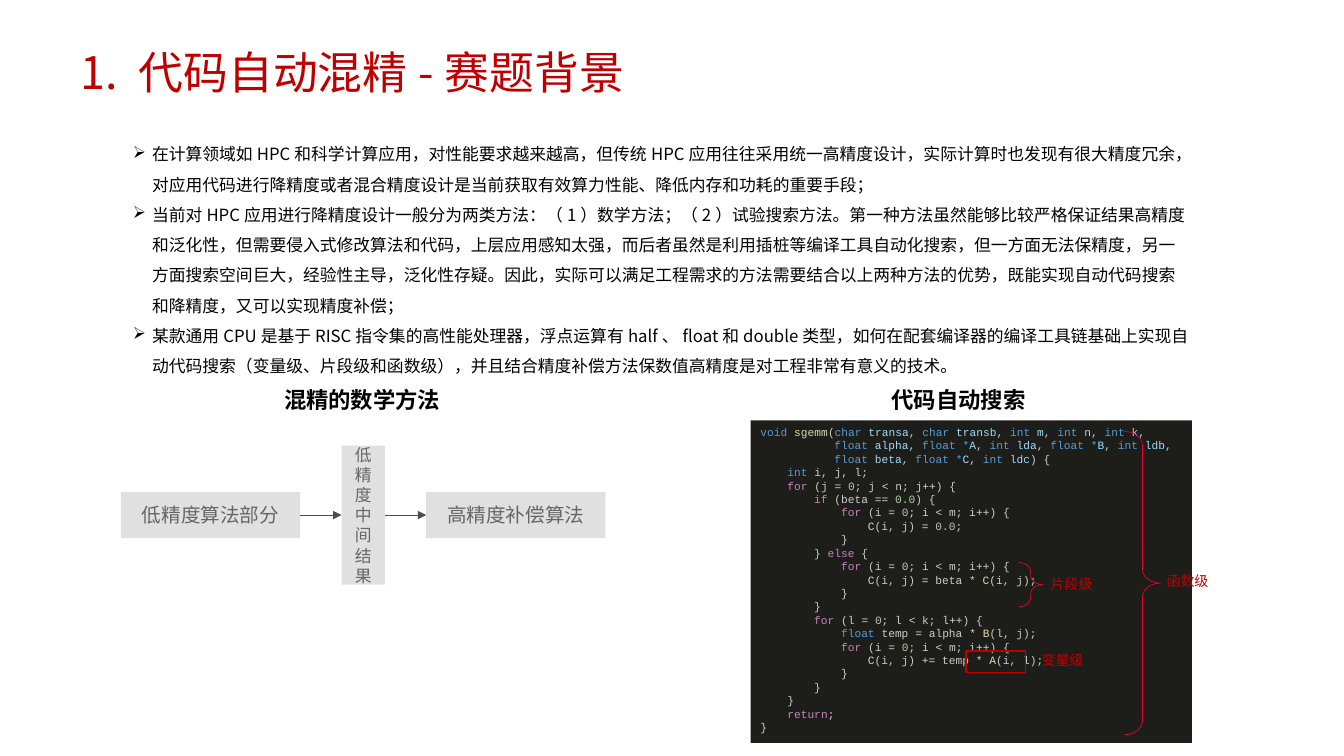
import itertools

import pptx
import pptx.dml.color
import pptx.enum.shapes
import pptx.enum.text
import pptx.oxml.ns
import pptx.util
from lxml import etree

Inches, Pt = pptx.util.Inches, pptx.util.Pt
RGBColor = pptx.dml.color.RGBColor
SHAPE = pptx.enum.shapes.MSO_SHAPE
ANCHOR = pptx.enum.text.MSO_ANCHOR
ALIGN = pptx.enum.text.PP_ALIGN
qn = pptx.oxml.ns.qn

RED = RGBColor(0xC0, 0x00, 0x00)
BRACE_RED = RGBColor(0xE9, 0x00, 0x2F)
BLACK = RGBColor(0x00, 0x00, 0x00)
BOX_GREY = RGBColor(0xE0, 0xE0, 0xE0)
TEXT_GREY = RGBColor(0x66, 0x66, 0x66)
ARROW_GREY = RGBColor(0x4D, 0x4D, 0x4D)
CODE_BACK = RGBColor(0x1D, 0x1D, 0x1A)
CODE_PLAIN = RGBColor(0xCC, 0xCC, 0xCC)
CODE_TYPE = RGBColor(0x56, 0x9C, 0xD6)
CODE_FUNCTION = RGBColor(0xDC, 0xDC, 0xAA)
CODE_PARAM = RGBColor(0x9C, 0xDC, 0xFE)
CODE_CONTROL = RGBColor(0xC5, 0x86, 0xC0)
CODE_OPERATOR = RGBColor(0xD4, 0xD4, 0xD4)
CODE_NUMBER = RGBColor(0xB5, 0xCE, 0xA8)

CJK, LATIN, MONO = "Noto Sans CJK SC", "Calibri", "Courier New"
CODE_SIZE = 8
CODE_CHAR = Pt(CODE_SIZE * 0.6)  # width of one monospaced character

BACKGROUND = [
    "在计算领域如HPC和科学计算应用，对性能要求越来越高，但传统HPC应用往往采用统一高精度设计，"
    "实际计算时也发现有很大精度冗余，对应用代码进行降精度或者混合精度设计是当前获取有效算力性能、"
    "降低内存和功耗的重要手段；",
    "当前对HPC应用进行降精度设计一般分为两类方法：（1）数学方法；（2）试验搜索方法。"
    "第一种方法虽然能够比较严格保证结果高精度和泛化性，但需要侵入式修改算法和代码，上层应用感知太强，"
    "而后者虽然是利用插桩等编译工具自动化搜索，但一方面无法保精度，另一方面搜索空间巨大，经验性主导，"
    "泛化性存疑。因此，实际可以满足工程需求的方法需要结合以上两种方法的优势，"
    "既能实现自动代码搜索和降精度，又可以实现精度补偿；",
    "某款通用CPU是基于RISC指令集的高性能处理器，浮点运算有half、float和double类型，"
    "如何在配套编译器的编译工具链基础上实现自动代码搜索（变量级、片段级和函数级），"
    "并且结合精度补偿方法保数值高精度是对工程非常有意义的技术。",
]

SIGNATURE_LINES = 3
CODE = """\
void sgemm(char transa, char transb, int m, int n, int k,
           float alpha, float *A, int lda, float *B, int ldb,
           float beta, float *C, int ldc) {
    int i, j, l;
    for (j = 0; j < n; j++) {
        if (beta == 0.0) {
            for (i = 0; i < m; i++) {
                C(i, j) = 0.0;
            }
        } else {
            for (i = 0; i < m; i++) {
                C(i, j) = beta * C(i, j);
            }
        }
        for (l = 0; l < k; l++) {
            float temp = alpha * B(l, j);
            for (i = 0; i < m; i++) {
                C(i, j) += temp * A(i, l);
            }
        }
    }
    return;
}"""


def char_class(c):
    if c.isalnum() or c == ".":
        return "word"
    return "operator" if c in "=<+*" else "other"


def token_color(kind, token, in_signature):
    if kind == "operator":
        return CODE_TYPE if in_signature else CODE_OPERATOR
    if kind == "other":
        return CODE_PLAIN
    if token in ("void", "char", "int", "float"):
        return CODE_TYPE
    if token in ("for", "if", "else", "return"):
        return CODE_CONTROL
    if token[0].isdigit():
        return CODE_NUMBER
    if token == "sgemm" or (token in "ABC" and not in_signature):
        return CODE_FUNCTION
    return CODE_PARAM if in_signature else CODE_PLAIN


def color_runs(line, in_signature):
    """Split a code line into (text, color) runs."""
    tokens = []
    for kind, chars in itertools.groupby(line, char_class):
        token = "".join(chars)
        tokens.append((token, token_color(kind, token, in_signature)))
    for color, group in itertools.groupby(tokens, lambda t: t[1]):
        yield "".join(t[0] for t in group), color


class SlideBuilder:
    def __init__(self, prs):
        self.s = prs.slides.add_slide(prs.slide_layouts[6])

    def run(self, p, text, size, color, font=CJK, bold=False):
        r = p.add_run()
        r.text = text
        r.font.size, r.font.bold, r.font.name = Pt(size), bold, font
        r.font.color.rgb = color
        etree.SubElement(r._r.get_or_add_rPr(), qn("a:ea"), typeface=CJK)

    def indent(self, p, left, first=0):
        pPr = p._p.get_or_add_pPr()
        pPr.set("marL", str(int(left)))
        pPr.set("indent", str(int(first)))
        return pPr

    def frame(self, x, y, w, h):
        sp = self.s.shapes.add_textbox(Inches(x), Inches(y), Inches(w), Inches(h))
        tf = sp.text_frame
        tf.word_wrap = True
        tf.margin_left = tf.margin_right = tf.margin_top = tf.margin_bottom = 0
        return tf

    def label(self, x, y, w, h, text, size, color, bold=False, spacing=None):
        p = self.frame(x, y, w, h).paragraphs[0]
        p.line_spacing = spacing
        self.run(p, text, size, color, bold=bold)

    def bullets(self, x, y, w, h, texts):
        tf = self.frame(x, y, w, h)
        for i, text in enumerate(texts):
            p = tf.add_paragraph() if i else tf.paragraphs[0]
            p.line_spacing = 1.5
            pPr = self.indent(p, Inches(0.19), Inches(-0.19))
            etree.SubElement(pPr, qn("a:buChar"), char="➢")
            self.run(p, text, 12, BLACK)

    def shape(self, kind, x, y, w, h, fill=None, line=None, width=0.5):
        sp = self.s.shapes.add_shape(kind, Inches(x), Inches(y), Inches(w), Inches(h))
        sp.shadow.inherit = False
        if fill is None:
            sp.fill.background()
        else:
            sp.fill.solid()
            sp.fill.fore_color.rgb = fill
        if line is None:
            sp.line.fill.background()
        else:
            sp.line.color.rgb, sp.line.width = line, Pt(width)
        return sp

    def box(self, x, y, w, h, text, size):
        sp = self.shape(SHAPE.RECTANGLE, x, y, w, h, BOX_GREY)
        tf = sp.text_frame
        tf.word_wrap, tf.vertical_anchor = True, ANCHOR.MIDDLE
        p = tf.paragraphs[0]
        p.alignment = ALIGN.CENTER
        self.run(p, text, size, TEXT_GREY, LATIN)
        return sp

    def arrow(self, start, end):
        c = self.s.shapes.add_connector(pptx.enum.shapes.MSO_CONNECTOR.STRAIGHT, 0, 0, 0, 0)
        c.begin_connect(start, 3)
        c.end_connect(end, 1)
        c.line.color.rgb, c.line.width = ARROW_GREY, Pt(0.5)
        etree.SubElement(c.line._get_or_add_ln(), qn("a:tailEnd"), type="triangle")
        etree.SubElement(c._element.spPr, qn("a:effectLst"))

    def brace(self, x, y, w, h):
        sp = self.shape(SHAPE.RIGHT_BRACE, x, y, w, h, line=BRACE_RED)
        sp.adjustments[0], sp.adjustments[1] = 0.38, 0.5

    def code(self, x, y, w, h, source):
        tf = self.shape(SHAPE.RECTANGLE, x, y, w, h, CODE_BACK).text_frame
        tf.word_wrap, tf.vertical_anchor = True, ANCHOR.TOP
        for i, line in enumerate(source.splitlines()):
            p = tf.add_paragraph() if i else tf.paragraphs[0]
            p.alignment = ALIGN.LEFT
            text = line.lstrip()
            self.indent(p, (len(line) - len(text)) * CODE_CHAR)
            for part, color in color_runs(text, i < SIGNATURE_LINES):
                self.run(p, part, CODE_SIZE, color, MONO)


def main():
    prs = pptx.Presentation()
    prs.slide_width, prs.slide_height = Inches(13.34), Inches(7.5)
    b = SlideBuilder(prs)

    # Title and background
    b.label(0.8, 0.5, 11.75, 1.09, "1. 代码自动混精-赛题背景", 32, RED, spacing=Pt(34.3))
    b.bullets(1.32, 1.33, 10.51, 2.39, BACKGROUND)

    # Mathematical method flow
    b.label(2.82, 3.83, 1.67, 0.27, "混精的数学方法", 16, BLACK, bold=True)
    low = b.box(1.2, 4.88, 1.78, 0.46, "低精度算法部分", 14)
    middle = b.box(3.39, 4.42, 0.43, 1.38, "低精度中间结果", 12)
    high = b.box(4.23, 4.88, 1.78, 0.46, "高精度补偿算法", 14)
    b.arrow(low, middle)
    b.arrow(middle, high)

    # Code search panel
    b.label(8.85, 3.83, 1.49, 0.27, "代码自动搜索", 16, BLACK, bold=True)
    b.code(7.45, 4.17, 4.38, 3.2, CODE)

    # Search levels marked on the code
    b.shape(SHAPE.RECTANGLE, 9.59, 6.46, 0.59, 0.21, line=RED, width=1)
    b.brace(10.11, 5.58, 0.24, 0.44)
    b.brace(11.16, 4.28, 0.36, 3.01)
    for x, y, text in [(10.34, 6.46, "变量级"), (10.43, 5.71, "片段级"), (11.58, 5.68, "函数级")]:
        b.label(x, y, 0.5, 0.17, text, 10, RED)

    prs.save("out.pptx")


if __name__ == "__main__":
    main()
